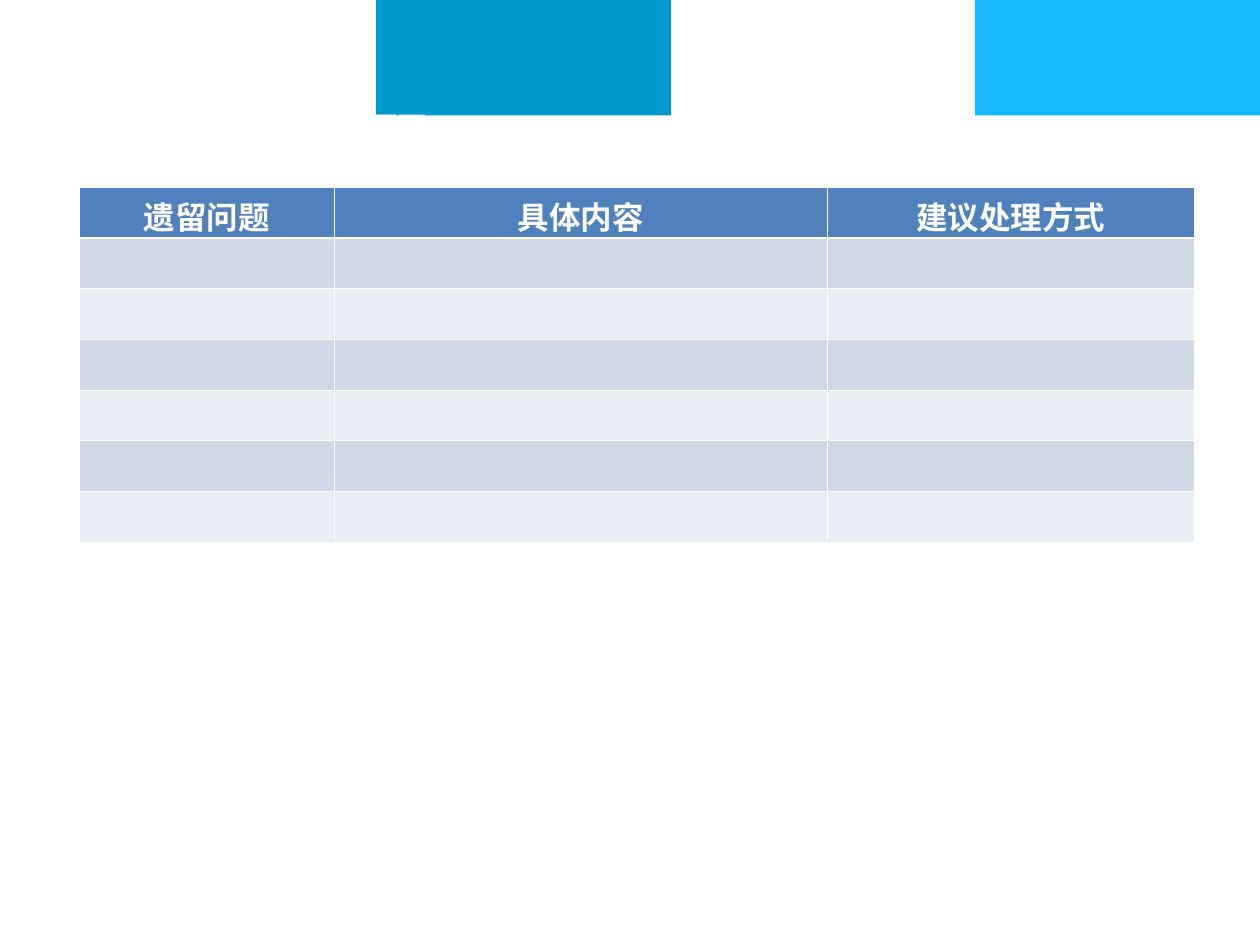
import pptx
import pptx.dml.color
import pptx.enum.shapes
import pptx.enum.text
import pptx.oxml
import pptx.oxml.ns
import pptx.util
from lxml import etree

Pt = pptx.util.Pt
RGBColor = pptx.dml.color.RGBColor
PP_ALIGN = pptx.enum.text.PP_ALIGN
MSO_ANCHOR = pptx.enum.text.MSO_ANCHOR
RECTANGLE = pptx.enum.shapes.MSO_SHAPE.RECTANGLE
qn = pptx.oxml.ns.qn

WHITE = RGBColor(0xFF, 0xFF, 0xFF)
TEAL = RGBColor(0x00, 0x9B, 0xCD)
SKY = RGBColor(0x14, 0xB9, 0xFF)
HEADER_BLUE = RGBColor(0x4F, 0x81, 0xBD)
BAND_DARK = RGBColor(0xD0, 0xD8, 0xE8)
BAND_LIGHT = RGBColor(0xE9, 0xED, 0xF4)
CJK_FONT = "Noto Sans CJK SC"

# Content
TITLE = "其他遗留问题"
HEADERS = ["遗留问题", "具体内容", "建议处理方式"]
EMPTY_ROWS = 6

# Layout in points
SLIDE_W, SLIDE_H = 720, 540
BLOCKS = [(215, 168.5, TEAL), (557.3, 162.7, SKY)]  # left, width, fill
BLOCK_H = 66
LEFT, WIDTH = 45.2, 637.5
TITLE_TOP, TITLE_H = 56.2, 45.4
TABLE_TOP, ROW_H = 106.8, 29
COL_W = [146, 281.5, 210]
THIN, THICK = 0.45, 1.47

TITLE_FONT = {"name": CJK_FONT, "size": Pt(32), "bold": True}
HEADER_FONT = {"name": "Calibri", "size": Pt(18), "bold": True}


def write(p, text, font):
    r = p.add_run()
    r.text = text
    for key, value in font.items():
        setattr(r.font, key, value)
    r.font.color.rgb = WHITE
    latin = r.font._element.find(qn("a:latin"))
    ea = etree.Element(qn("a:ea"), typeface=CJK_FONT)
    latin.addnext(ea)


def set_borders(cell, widths):
    tcPr = cell._tc.get_or_add_tcPr()
    for i, (side, width) in enumerate(widths.items()):
        ln = etree.Element(qn(f"a:ln{side}"), w=str(int(Pt(width))))
        fill = etree.SubElement(ln, qn("a:solidFill"))
        etree.SubElement(fill, qn("a:srgbClr"), val=str(WHITE))
        tcPr.insert(i, ln)


prs = pptx.Presentation()
prs.slide_width, prs.slide_height = Pt(SLIDE_W), Pt(SLIDE_H)
s = prs.slides.add_slide(prs.slide_layouts[6])

# Colour blocks along the top edge
for left, width, color in BLOCKS:
    sp = s.shapes.add_shape(RECTANGLE, Pt(left), Pt(0), Pt(width), Pt(BLOCK_H))
    sp.shadow.inherit = False
    sp.fill.solid()
    sp.fill.fore_color.rgb = color
    sp.line.fill.background()

# Title
sp = s.shapes.add_textbox(Pt(LEFT), Pt(TITLE_TOP), Pt(WIDTH), Pt(TITLE_H))
tf = sp.text_frame
tf.word_wrap = True
tf.vertical_anchor = MSO_ANCHOR.MIDDLE
write(tf.paragraphs[0], TITLE, TITLE_FONT)

# Table of open issues
rows = 1 + EMPTY_ROWS
table = s.shapes.add_table(rows, len(HEADERS), Pt(LEFT), Pt(TABLE_TOP),
                           Pt(WIDTH), Pt(rows * ROW_H)).table
for col, width in zip(table.columns, COL_W):
    col.width = Pt(width)

for i, row in enumerate(table.rows):
    row.height = Pt(ROW_H)
    fill = HEADER_BLUE if i == 0 else BAND_DARK if i % 2 else BAND_LIGHT
    for j, cell in enumerate(row.cells):
        cell.fill.solid()
        cell.fill.fore_color.rgb = fill
        set_borders(cell, {"L": THIN, "R": THIN,
                           "T": THICK if i == 1 else THIN,
                           "B": THICK if i == 0 else THIN})
        if i == 0:
            p = cell.text_frame.paragraphs[0]
            p.alignment = PP_ALIGN.CENTER
            write(p, HEADERS[j], HEADER_FONT)

prs.save("out.pptx")
